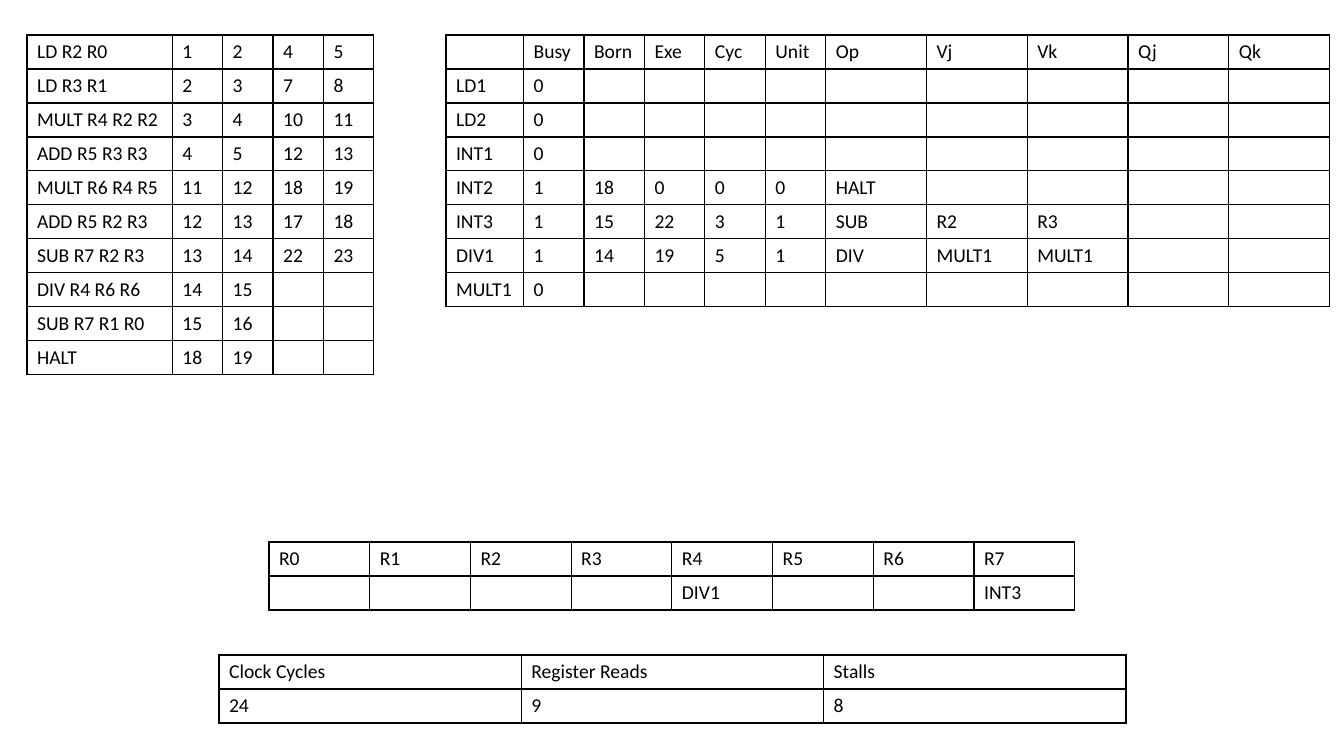
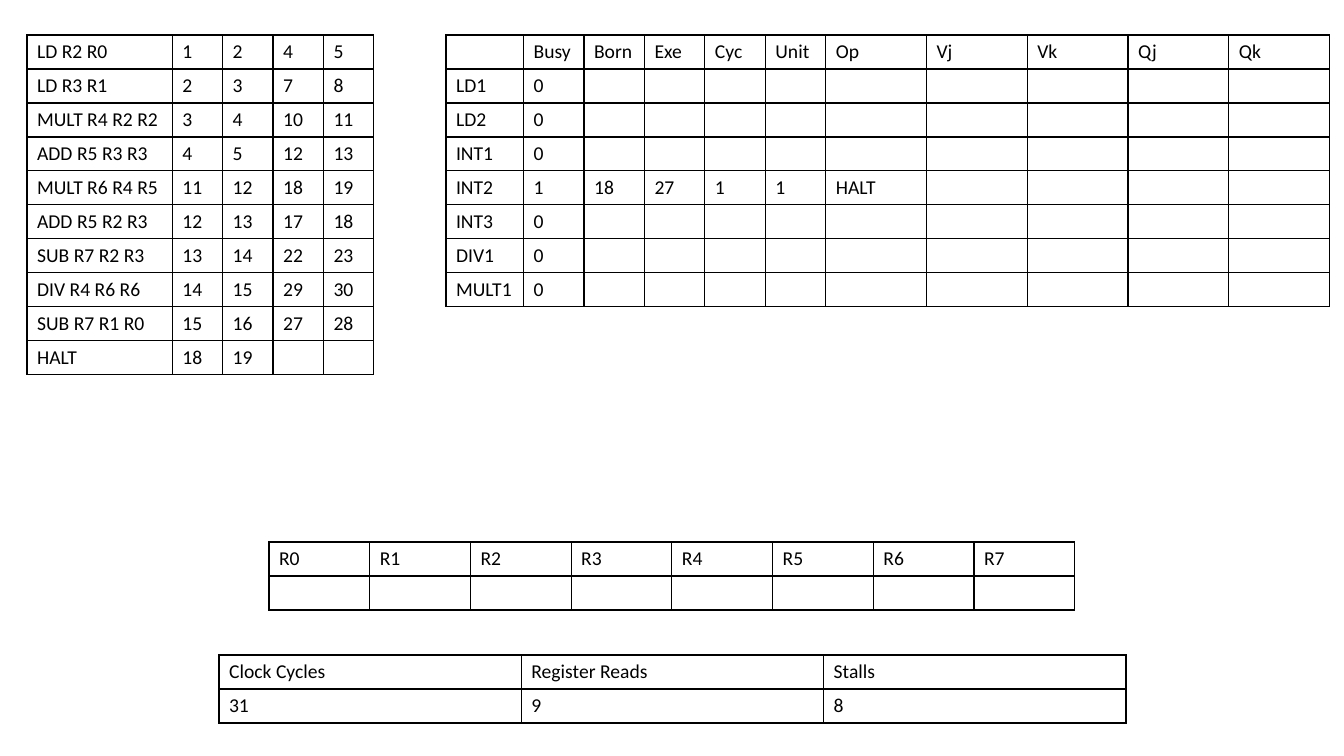
from dataclasses import dataclass

from lxml.etree import SubElement
from pptx import Presentation
from pptx.dml.color import RGBColor
from pptx.oxml.ns import qn
from pptx.slide import Slide
from pptx.table import _Cell
from pptx.util import Emu, Pt

BLACK = RGBColor(0x00, 0x00, 0x00)
WHITE = RGBColor(0xFF, 0xFF, 0xFF)
FONT = "Calibri"
TEXT_SIZE = Pt(14)
BORDER_WIDTH = Pt(1)
PIXELS_PER_INCH = 100.8
ROW_HEIGHT = 34
BLANK_LAYOUT = 6

Row = tuple[str, ...]


@dataclass(frozen=True)
class Grid:
    """Place of a table in pixels, and the relative widths of its columns."""
    left: int
    top: int
    width: int
    weights: tuple[float, ...]


@dataclass(frozen=True)
class Snapshot:
    """State of the scheduler shown on one slide, without blank entries."""
    finished: dict[str, Row]
    busy: dict[str, Row]
    producers: dict[str, str]
    clock_cycles: str


INSTRUCTION_GRID = Grid(27, 35, 347, (1.44,) + (0.5,) * 4)
STATION_GRID = Grid(446, 35, 884, (0.77,) + (0.6,) * 5 + (1,) * 5)
REGISTER_GRID = Grid(269, 542, 806, (1,) * 8)
TOTALS_GRID = Grid(219, 655, 907, (1,) * 3)

INSTRUCTIONS: tuple[Row, ...] = (
    ("LD R2 R0", "1", "2", "4", "5"),
    ("LD R3 R1", "2", "3", "7", "8"),
    ("MULT R4 R2 R2", "3", "4", "10", "11"),
    ("ADD R5 R3 R3", "4", "5", "12", "13"),
    ("MULT R6 R4 R5", "11", "12", "18", "19"),
    ("ADD R5 R2 R3", "12", "13", "17", "18"),
    ("SUB R7 R2 R3", "13", "14", "22", "23"),
    ("DIV R4 R6 R6", "14", "15"),
    ("SUB R7 R1 R0", "15", "16"),
    ("HALT", "18", "19"),
)
STATION_HEADER = ("", "Busy", "Born", "Exe", "Cyc", "Unit", "Op", "Vj", "Vk", "Qj", "Qk")
STATIONS = ("LD1", "LD2", "INT1", "INT2", "INT3", "DIV1", "MULT1")
REGISTERS = tuple(f"R{number}" for number in range(8))
TOTALS_HEADER = ("Clock Cycles", "Register Reads", "Stalls")
REGISTER_READS = "9"
STALLS = "8"

SNAPSHOTS = (
    Snapshot(
        finished={},
        busy={
            "INT2": ("18", "0", "0", "0", "HALT"),
            "INT3": ("15", "22", "3", "1", "SUB", "R2", "R3"),
            "DIV1": ("14", "19", "5", "1", "DIV", "MULT1", "MULT1"),
        },
        producers={"R4": "DIV1", "R7": "INT3"},
        clock_cycles="24",
    ),
    Snapshot(
        finished={"DIV R4 R6 R6": ("29", "30"), "SUB R7 R1 R0": ("27", "28")},
        busy={"INT2": ("18", "27", "1", "1", "HALT")},
        producers={},
        clock_cycles="31",
    ),
)


def pixels(length: float) -> Emu:
    """Turn a length in pixels into EMU."""
    return Emu(round(length * 914400 / PIXELS_PER_INCH))


def draw_borders(cell: _Cell) -> None:
    """Give all four sides of a cell a thin black line."""
    properties = cell._tc.get_or_add_tcPr()
    for side in ("a:lnL", "a:lnR", "a:lnT", "a:lnB"):
        line = SubElement(properties, qn(side), w=str(int(BORDER_WIDTH)))
        fill = SubElement(line, qn("a:solidFill"))
        SubElement(fill, qn("a:srgbClr"), val=str(BLACK))


def write_cell(cell: _Cell, text: str) -> None:
    """Write the text of a cell, or keep the line height of an empty one."""
    paragraph = cell.text_frame.paragraphs[0]
    if not text:
        SubElement(paragraph._p, qn("a:endParaRPr"), sz=str(int(TEXT_SIZE.pt * 100)))
        return
    run = paragraph.add_run()
    run.text = text
    run.font.name = FONT
    run.font.size = TEXT_SIZE
    run.font.color.rgb = BLACK


def draw_table(slide: Slide, grid: Grid, rows: list[Row]) -> None:
    """Draw a plain ruled table; short rows end in empty cells."""
    shape = slide.shapes.add_table(
        len(rows), len(grid.weights), pixels(grid.left), pixels(grid.top),
        pixels(grid.width), pixels(ROW_HEIGHT * len(rows)))
    table = shape.table
    table.first_row = False
    table.horz_banding = False
    for column, weight in zip(table.columns, grid.weights):
        column.width = pixels(grid.width * weight / sum(grid.weights))
    for table_row, texts in zip(table.rows, rows):
        table_row.height = pixels(ROW_HEIGHT)
        padding = ("",) * (len(grid.weights) - len(texts))
        for cell, text in zip(table_row.cells, texts + padding):
            draw_borders(cell)
            cell.fill.background()
            write_cell(cell, text)


def station_row(station: str, busy: dict[str, Row]) -> Row:
    """Return the row of a reservation station with its busy flag."""
    if station in busy:
        return (station, "1") + busy[station]
    return (station, "0")


def draw_snapshot(slide: Slide, snapshot: Snapshot) -> None:
    """Draw the four tables of one scheduler state."""
    slide.background.fill.solid()
    slide.background.fill.fore_color.rgb = WHITE
    draw_table(slide, INSTRUCTION_GRID,
               [row + snapshot.finished.get(row[0], ()) for row in INSTRUCTIONS])
    draw_table(slide, STATION_GRID,
               [STATION_HEADER] + [station_row(name, snapshot.busy) for name in STATIONS])
    draw_table(slide, REGISTER_GRID,
               [REGISTERS, tuple(snapshot.producers.get(name, "") for name in REGISTERS)])
    draw_table(slide, TOTALS_GRID,
               [TOTALS_HEADER, (snapshot.clock_cycles, REGISTER_READS, STALLS)])


def main() -> None:
    """Build and save the presentation."""
    presentation = Presentation()
    presentation.slide_width = pixels(1344)
    presentation.slide_height = pixels(756)
    for snapshot in SNAPSHOTS:
        slide = presentation.slides.add_slide(presentation.slide_layouts[BLANK_LAYOUT])
        draw_snapshot(slide, snapshot)
    presentation.save("out.pptx")


main()
